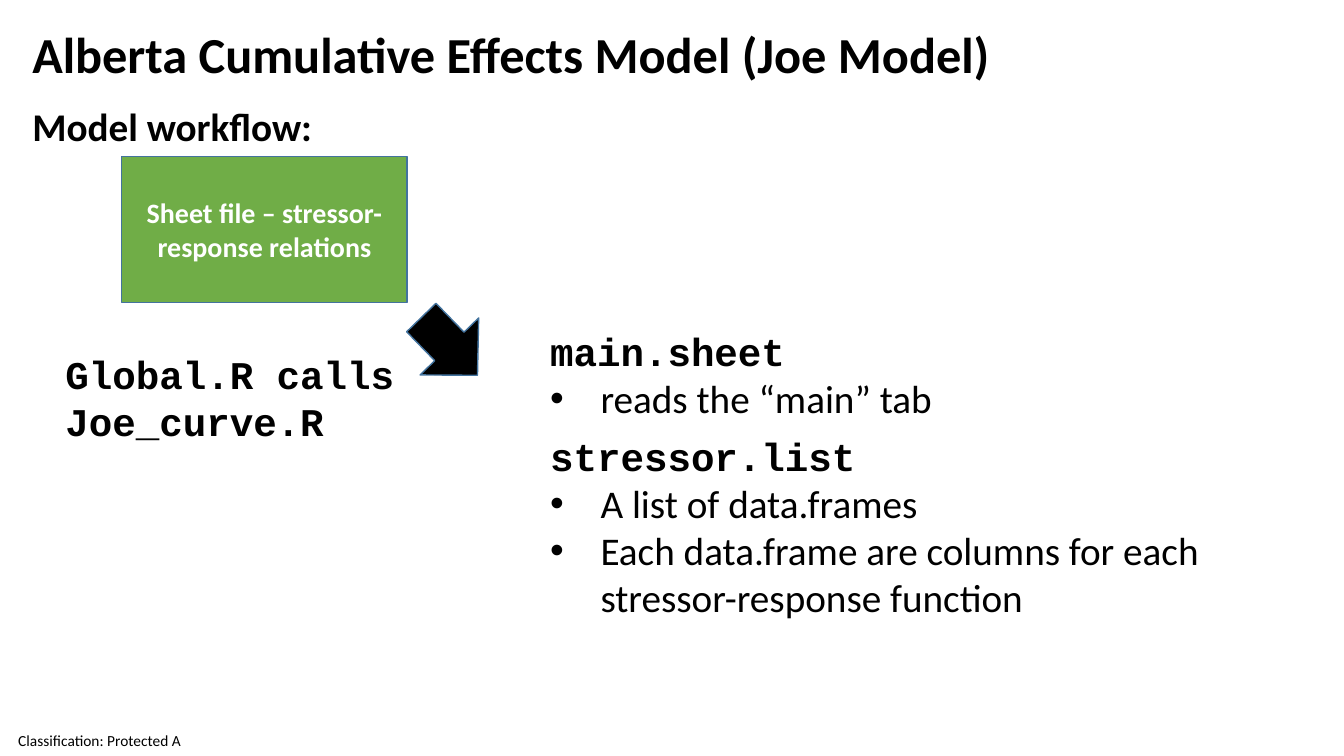
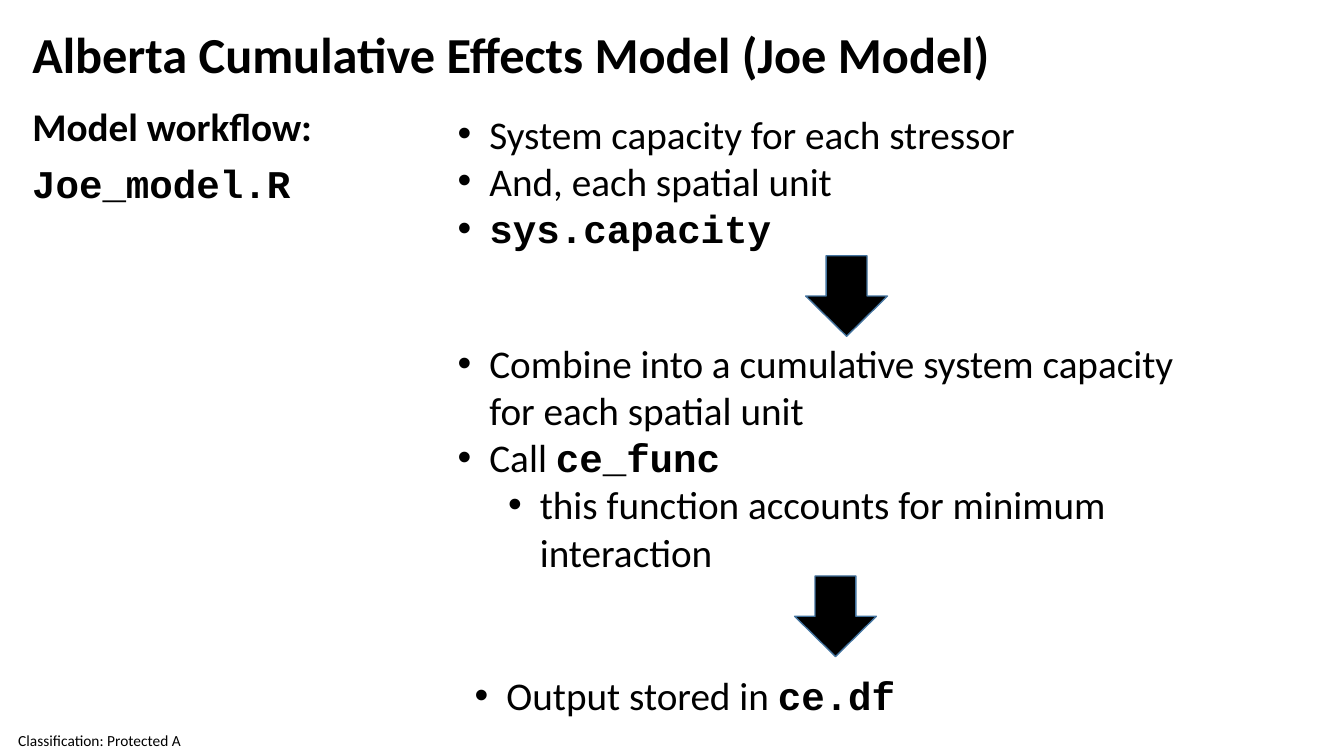
from lxml import etree
from pptx import Presentation
from pptx import util as u
from pptx.dml.color import RGBColor
from pptx.enum import shapes, text
from pptx.oxml import ns

HUES = {"ink": "000000", "paper": "FFFFFF", "box": "70AD47", "edge": "43739E"}
PLAIN, CODE = "Calibri", "Courier New"
TITLE = "Alberta Cumulative Effects Model (Joe Model)"
TOP, MID = text.MSO_ANCHOR.TOP, text.MSO_ANCHOR.MIDDLE
LEFT, CENTER = text.PP_ALIGN.LEFT, text.PP_ALIGN.CENTER
STEP = 1.27  # cm between list levels


def hue(name):
    return RGBColor.from_string(HUES[name])


def place(shape, box):
    for key, size in zip(("left", "top", "width", "height"), box):
        setattr(shape, key, u.Cm(size))


def bullet(para, level, hang):
    """Give a paragraph its bullet and indent; no level means no bullet."""
    props = para._p.get_or_add_pPr()
    left = 0 if level is None else hang + level * STEP
    props.set("marL", str(u.Cm(left)))
    props.set("indent", str(-u.Cm(hang) if left else 0))
    if level is None:
        etree.SubElement(props, ns.qn("a:buNone"))
        return
    etree.SubElement(props, ns.qn("a:buFont")).set("typeface", "Arial")
    etree.SubElement(props, ns.qn("a:buChar")).set("char", "•")


def write(shape, lines, size=28, color="ink", bold=True, align=LEFT,
          anchor=TOP, hang=0.8):
    """Fill a shape with (level, words) lines; `backticks` mark code."""
    frame = shape.text_frame
    form = {"word_wrap": True, "auto_size": text.MSO_AUTO_SIZE.NONE,
            "vertical_anchor": anchor}
    for key, value in form.items():
        setattr(frame, key, value)
    for i, (level, words) in enumerate(lines):
        para = frame.add_paragraph() if i else frame.paragraphs[0]
        form = {"alignment": align, "line_spacing": 1.0, "level": level or 0,
                "space_before": u.Pt(0), "space_after": u.Pt(0)}
        for key, value in form.items():
            setattr(para, key, value)
        bullet(para, level, hang)
        for j, part in enumerate(words.split("`")):
            if not part:
                continue
            code = j % 2 == 1
            run = para.add_run()
            run.text = part
            form = {"name": CODE if code else PLAIN, "size": u.Pt(size),
                    "bold": code or (bold and level is None)}
            for key, value in form.items():
                setattr(run.font, key, value)
            run.font.color.rgb = hue(color)


def label(slide, box, lines, **form):
    area = slide.shapes.add_textbox(*map(u.Cm, box))
    write(area, lines, **form)
    return area


def block(slide, kind, box, fill, turn=0):
    shape = slide.shapes.add_shape(kind, *map(u.Cm, box))
    shape.shadow.inherit = False
    shape.fill.solid()
    shape.fill.fore_color.rgb = hue(fill)
    shape.line.color.rgb = hue("edge")
    shape.line.width = u.Pt(1)
    shape.rotation = turn
    return shape


def arrow(slide, left, top, turn=90):
    block(slide, shapes.MSO_SHAPE.RIGHT_ARROW, (left, top, 2.03, 2.06),
          "ink", turn)


def footer(slide):
    note = label(slide, (0.46, 18.26, 5, 0.79),
                 [(None, "Classification: Protected A")],
                 size=11, bold=False, anchor=MID)
    for side in ("left", "top", "right", "bottom"):
        setattr(note.text_frame, "margin_" + side, 0)


def base(deck, lists, hang):
    """Add a slide with title, subtitle, footer and (box, lines) lists."""
    slide = deck.slides.add_slide(deck.slide_layouts.get_by_name("Comparison"))
    place(slide.shapes.title, (0.56, 0.46, 31, 1.8))
    write(slide.shapes.title, [(None, TITLE)], size=36)
    head = ((0.56, 2.46, 10, 1.45), [(None, "Model workflow:")])
    bodies = [p for p in slide.placeholders if p != slide.shapes.title]
    parts = [head, *lists]
    for body, (box, lines) in zip(bodies, parts):
        place(body, box)
        write(body, lines, hang=hang)
    for spare in bodies[len(parts):]:
        spare.element.getparent().remove(spare.element)
    footer(slide)
    return slide


def inputs(deck):
    slide = base(deck, [
        ((13.61, 8.13, 12, 2.64),
         [(None, "`main.sheet`"), (0, "reads the “main” tab")]),
        ((13.61, 10.77, 17.3, 5.05),
         [(None, "`stressor.list`"), (0, "A list of data.frames"),
          (0, "Each data.frame are columns for each "
              "stressor-response function")]),
    ], hang=1.27)
    sheet = block(slide, shapes.MSO_SHAPE.RECTANGLE,
                  (3.07, 3.94, 7.19, 3.68), "box")
    write(sheet, [(None, "Sheet file – stressor-response relations")],
          size=20, color="paper", align=CENTER, anchor=MID)
    arrow(slide, 10.31, 7.7, 45.8)
    label(slide, (1.4, 8.71, 9.4, 2.64),
          [(None, "`Global.R calls`"), (None, "`Joe_curve.R`")])


def steps(deck):
    slide = base(deck, [
        ((11.28, 2.64, 21.59, 5.05),
         [(0, "System capacity for each stressor"),
          (0, "And, each spatial unit"), (0, "`sys.capacity`")]),
        ((11.28, 8.43, 19.23, 7.44),
         [(0, "Combine into a cumulative system capacity "
              "for each spatial unit"),
          (0, "Call `ce_func`"),
          (1, "this function accounts for minimum interaction")]),
        ((11.71, 16.79, 19.23, 1.45), [(0, "Output stored in `ce.df`")]),
    ], hang=0.8)
    label(slide, (0.56, 3.89, 8, 1.45), [(None, "`Joe_model.R`")])
    arrow(slide, 20.32, 6.43)
    arrow(slide, 20.04, 14.5)


def main():
    deck = Presentation()
    deck.slide_width, deck.slide_height = u.Cm(33.87), u.Cm(19.05)
    inputs(deck)
    steps(deck)
    deck.save("out.pptx")


if __name__ == "__main__":
    main()
